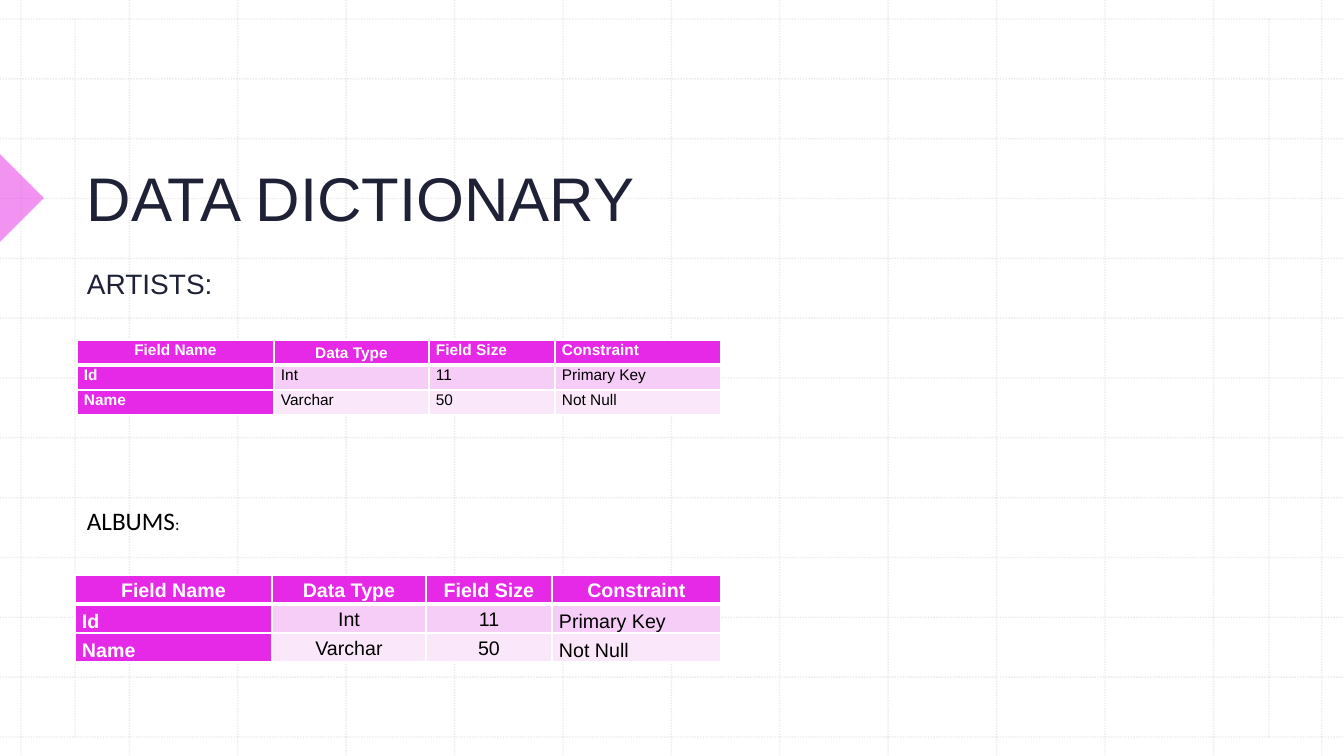
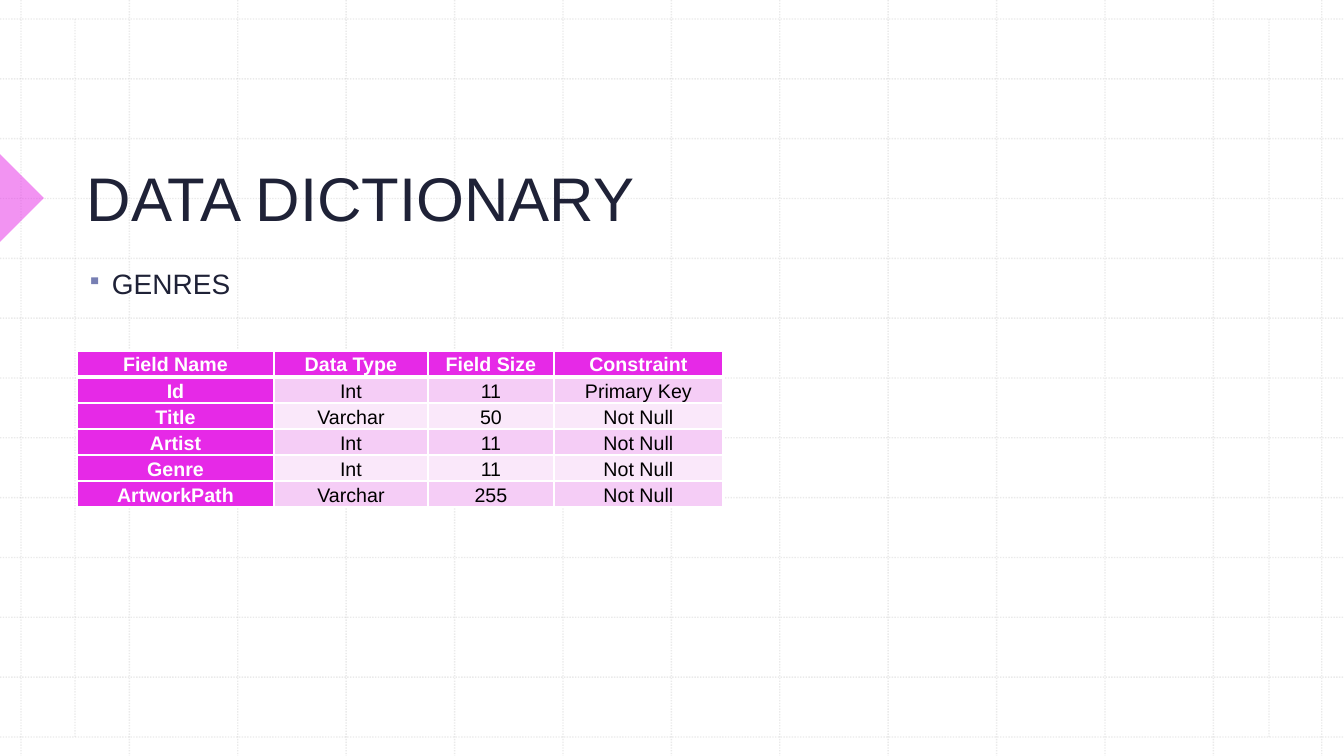
from lxml import etree
from pptx import Presentation
from pptx import util as u
from pptx.dml.color import RGBColor
from pptx.enum import dml, shapes, text
from pptx.oxml.ns import qn

SCALE = 914400 / 100.8
WIDE, HIGH = 1344, 756
PINK, ROSE, PALE = "E629E7", "F5CDF6", "FAE8FA"
INK, BLACK, WHITE, GREY, MARK = "1F2237", "000000", "FFFFFF", "BCBCBC", "777FB3"
ALIGN = {"l": text.PP_ALIGN.LEFT, "c": text.PP_ALIGN.CENTER}
ANCHOR = {"t": text.MSO_ANCHOR.TOP, "m": text.MSO_ANCHOR.MIDDLE,
          "b": text.MSO_ANCHOR.BOTTOM}
HEADS = ["Field Name", "Data Type", "Field Size", "Constraint"]


def px(num):
    """Turn pixels into EMU."""
    return u.Emu(round(num * SCALE))


def tint(code):
    """Turn a hex string into a colour."""
    return RGBColor.from_string(code)


def put(item, vals):
    """Set each attribute of item from a dict."""
    for key, val in vals.items():
        setattr(item, key, val)


def sub(node, tag, **vals):
    """Add a child element in the drawing namespace."""
    return etree.SubElement(node, qn("a:" + tag), vals)


def fade(fill, pct):
    """Make a solid fill opaque by pct only."""
    for node in fill.iter(qn("a:srgbClr")):
        sub(node, "alpha", val=str(pct * 1000))


class Deck:
    """Holds the style and the current slide."""

    def __init__(self):
        """Start an empty deck."""
        self.prs = Presentation()
        put(self.prs, {"slide_width": px(WIDE), "slide_height": px(HIGH)})

    def page(self, title):
        """Add a slide with grid, marker and title."""
        self.slide = self.prs.slides.add_slide(self.prs.slide_layouts[6])
        self.grid()
        self.wedge()
        self.words((77, 80, 1138, 159), [(title, 44, INK, "Arial")], anchor="b")

    def line(self, *ends):
        """Draw one faint dotted line."""
        rule = self.slide.shapes.add_connector(
            shapes.MSO_CONNECTOR.STRAIGHT, *map(px, ends))
        put(rule.line, {"width": u.Pt(1),
                        "dash_style": dml.MSO_LINE.ROUND_DOT})
        rule.line.color.rgb = tint(GREY)
        props = rule._element.spPr
        fade(props, 30)
        sub(props, "effectLst")

    def grid(self):
        """Draw the background grid."""
        top, low = 19, 737
        for step in range(13):
            left = 21 + step * 108.4
            self.line(left, 0, left, HIGH)
            down = top + step * (low - top) / 12
            self.line(0, down, WIDE, down)
        for side in (75, 1269):
            self.line(side, top, side, low)

    def wedge(self):
        """Draw the pink marker at the left edge."""
        shape = self.slide.shapes.add_shape(
            shapes.MSO_SHAPE.RIGHT_TRIANGLE, *map(px, (-31, 167, 62, 62)))
        shape.rotation = 225
        shape.shadow.inherit = False
        shape.fill.solid()
        shape.fill.fore_color.rgb = tint(PINK)
        fade(shape._element.spPr, 50)
        shape.line.fill.background()

    def run(self, para, words, size, hue, face, bold=False):
        """Add one run of text."""
        run = para.add_run()
        run.text = words
        put(run.font, {"size": u.Pt(size), "name": face, "bold": bold})
        run.font.color.rgb = tint(hue)

    def words(self, box, runs, anchor="t", bullet=False, **form):
        """Add a text box of one paragraph."""
        frame = self.slide.shapes.add_textbox(*map(px, box)).text_frame
        put(frame, {"word_wrap": True, "vertical_anchor": ANCHOR[anchor]})
        para = frame.paragraphs[0]
        put(para, form)
        for run in runs:
            self.run(para, *run)
        if bullet:
            props = para._p.get_or_add_pPr()
            put_in = {"marL": px(25), "indent": px(-25)}
            for key, val in put_in.items():
                props.set(key, str(val))
            sub(sub(props, "buClr"), "srgbClr", val=MARK)
            sub(props, "buSzPct", val="75000")
            sub(props, "buChar", char="▪")

    def label(self, words, bullet=False):
        """Add the heading below the title."""
        self.words((77, 258, 1138, 393), [(words, 20, INK, "Arial")],
                   bullet=bullet, line_spacing=1.1, space_before=u.Pt(10))

    def edges(self, cell, row):
        """Draw white borders, thick below the header."""
        props = cell._tc.get_or_add_tcPr()
        thick = {(0, "B"), (1, "T")}
        for side in "LRTB":
            width = u.Pt(3 if (row, side) in thick else 1)
            edge = sub(props, "ln" + side, w=str(width))
            sub(sub(edge, "solidFill"), "srgbClr", val=WHITE)

    def table(self, spot, cols, high, rows, size, head, body, after=0):
        """Add a table; head and body give align and anchor by column."""
        data = [HEADS] + rows
        grid = self.slide.shapes.add_table(
            len(data), len(cols), *map(px, (*spot, sum(cols), high * len(data)))
        ).table
        for col, wide in zip(grid.columns, cols):
            col.width = px(wide)
        for num, line in enumerate(data):
            grid.rows[num].height = px(high)
            looks = (body if num else head).split()
            for col, (words, look) in enumerate(zip(line, looks)):
                cell = grid.cell(num, col)
                main = num == 0 or col == 0
                put(cell, {"margin_left": px(7), "margin_right": px(7),
                           "margin_top": 0, "margin_bottom": 0,
                           "vertical_anchor": ANCHOR[look[1]]})
                self.edges(cell, num)
                cell.fill.solid()
                cell.fill.fore_color.rgb = tint(
                    PINK if main else ROSE if num % 2 else PALE)
                para = cell.text_frame.paragraphs[0]
                put(para, {"alignment": ALIGN[look[0]], "line_spacing": 1.07,
                           "space_after": u.Pt(after)})
                self.run(para, words, size, WHITE if main else BLACK,
                         "Arial", main)


deck = Deck()
names = [["Id", "Int", "11", "Primary Key"],
         ["Name", "Varchar", "50", "Not Null"]]
songs = [["Id", "Int", "11", "Primary Key"],
         ["Title", "Varchar", "50", "Not Null"],
         ["Artist", "Int", "11", "Not Null"],
         ["Genre", "Int", "11", "Not Null"],
         ["ArtworkPath", "Varchar", "255", "Not Null"]]
cols = (197, 154, 126, 169)

deck.page("DATA DICTIONARY")
deck.label("ARTISTS:")
deck.table((77, 340), (197, 155, 126, 166), 25, names, 11,
           "ct cm lt lt", "lt lt lt lt", after=8)
deck.table((75, 575), cols, 29, names, 14, "cm cm cm cm", "lb cm cm lb")
deck.words((77, 498, 673, 41),
           [("ALBUMS", 18, BLACK, "Calibri"), (":", 12, BLACK, "Calibri")],
           line_spacing=1.07, space_after=u.Pt(8))

deck.page("DATA DICTIONARY")
deck.label("GENRES", bullet=True)
deck.table((77, 351), cols, 26, songs, 14, "cm cm cm cm", "cb cb cb cb")

deck.prs.save("out.pptx")
